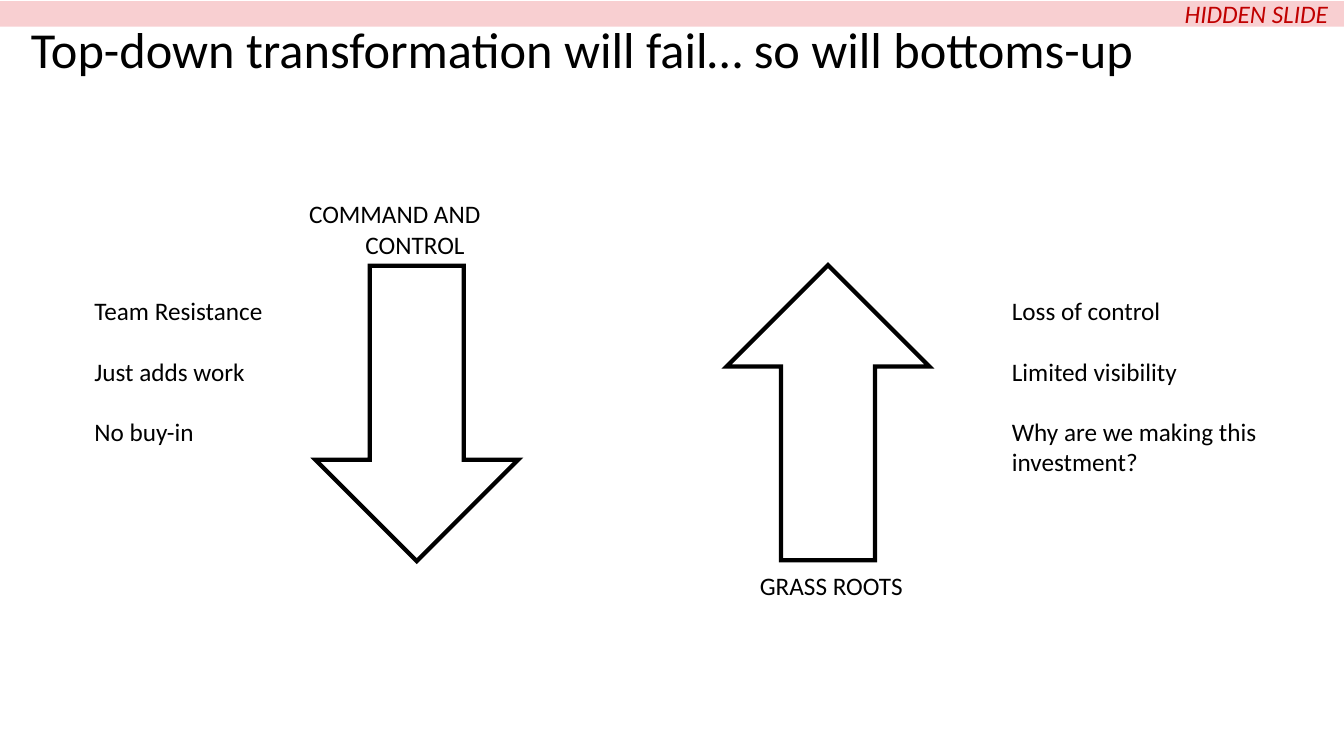
import dataclasses

import lxml.etree
import pptx
import pptx.dml.color
import pptx.enum.shapes
import pptx.enum.text
import pptx.oxml.ns
import pptx.util

Cm = pptx.util.Cm
Pt = pptx.util.Pt
ALIGN = pptx.enum.text.PP_ALIGN
ANCHOR = pptx.enum.text.MSO_ANCHOR
SHAPE = pptx.enum.shapes.MSO_SHAPE


@dataclasses.dataclass(frozen=True)
class Theme:
    font: str = "Calibri"
    ink: str = "000000"
    banner_fill: str = "F8CFD1"
    banner_ink: str = "C00000"
    title_size: float = 36
    body_size: float = 18
    outline: float = 3


def rgb(code):
    return pptx.dml.color.RGBColor.from_string(code)


def write_text(frame, lines, *, font, size, color, italic=False, aligns=(ALIGN.LEFT,),
               anchor=ANCHOR.TOP, gap=0, line_spacing=None):
    """Fill a text frame, one paragraph a line; the last alignment serves all further lines."""
    frame.word_wrap = True
    frame.vertical_anchor = anchor
    for index, line in enumerate(lines):
        paragraph = frame.add_paragraph() if index else frame.paragraphs[0]
        paragraph.text = line
        paragraph.alignment = aligns[min(index, len(aligns) - 1)]
        paragraph.line_spacing = line_spacing
        if index:
            paragraph.space_before = Pt(gap)
        paragraph.font.name = font
        paragraph.font.size = Pt(size)
        paragraph.font.italic = italic
        paragraph.font.color.rgb = rgb(color)


class SlideBuilder:
    def __init__(self, slide, theme):
        self.slide = slide
        self.theme = theme

    def text(self, box, lines, **style):
        frame = self.slide.shapes.add_textbox(*map(Cm, box)).text_frame
        base = dict(font=self.theme.font, size=self.theme.body_size, color=self.theme.ink)
        write_text(frame, lines, **(base | style))

    def arrow(self, box, rotation=0):
        arrow = self.slide.shapes.add_shape(SHAPE.DOWN_ARROW, *map(Cm, box))
        arrow.shadow.inherit = False
        arrow.rotation = rotation
        arrow.adjustments[0] = 0.464
        arrow.adjustments[1] = 0.5
        arrow.fill.background()
        arrow.line.color.rgb = rgb(self.theme.ink)
        arrow.line.width = Pt(self.theme.outline)
        outline = arrow.line._get_or_add_ln()
        lxml.etree.SubElement(outline, pptx.oxml.ns.qn("a:miter"), lim="800000")

    def banner(self, box, label):
        bar = self.slide.shapes.add_shape(SHAPE.RECTANGLE, *map(Cm, box))
        bar.shadow.inherit = False
        bar.fill.solid()
        bar.fill.fore_color.rgb = rgb(self.theme.banner_fill)
        bar.line.fill.background()
        frame = bar.text_frame
        frame.margin_top = frame.margin_bottom = 0
        frame.margin_right = Cm(0.4)
        write_text(frame, [label], font=self.theme.font, size=self.theme.body_size,
                   color=self.theme.banner_ink, italic=True, aligns=(ALIGN.RIGHT,),
                   anchor=ANCHOR.MIDDLE)


def main():
    deck = pptx.Presentation()
    deck.slide_width, deck.slide_height = Cm(33.87), Cm(19.05)
    theme = Theme()
    builder = SlideBuilder(deck.slides.add_slide(deck.slide_layouts[6]), theme)

    builder.text((0.53, 0, 30.4, 2.64),
                 ["Top-down transformation will fail… so will bottoms-up"],
                 size=theme.title_size, anchor=ANCHOR.MIDDLE, line_spacing=0.9)

    drawbacks = {
        2.13: ["Team Resistance", "Just adds work", "No buy-in"],
        25.25: ["Loss of control", "Limited visibility", "Why are we making this investment?"],
    }
    for left, points in drawbacks.items():
        builder.text((left, 7.32, 7.37, 8.92), points, gap=21.6)

    builder.arrow((7.95, 6.7, 5.11, 7.44))
    builder.text((7.54, 4.88, 5.84, 1.8), ["COMMAND AND", "CONTROL"],
                 aligns=(ALIGN.LEFT, ALIGN.CENTER))
    builder.arrow((18.31, 6.68, 5.11, 7.44), rotation=180)
    builder.text((18.03, 14.25, 5.84, 1.02), ["GRASS ROOTS"], aligns=(ALIGN.CENTER,))

    builder.banner((0, 0.03, 33.87, 0.64), "HIDDEN SLIDE")
    deck.save("out.pptx")


if __name__ == "__main__":
    main()
